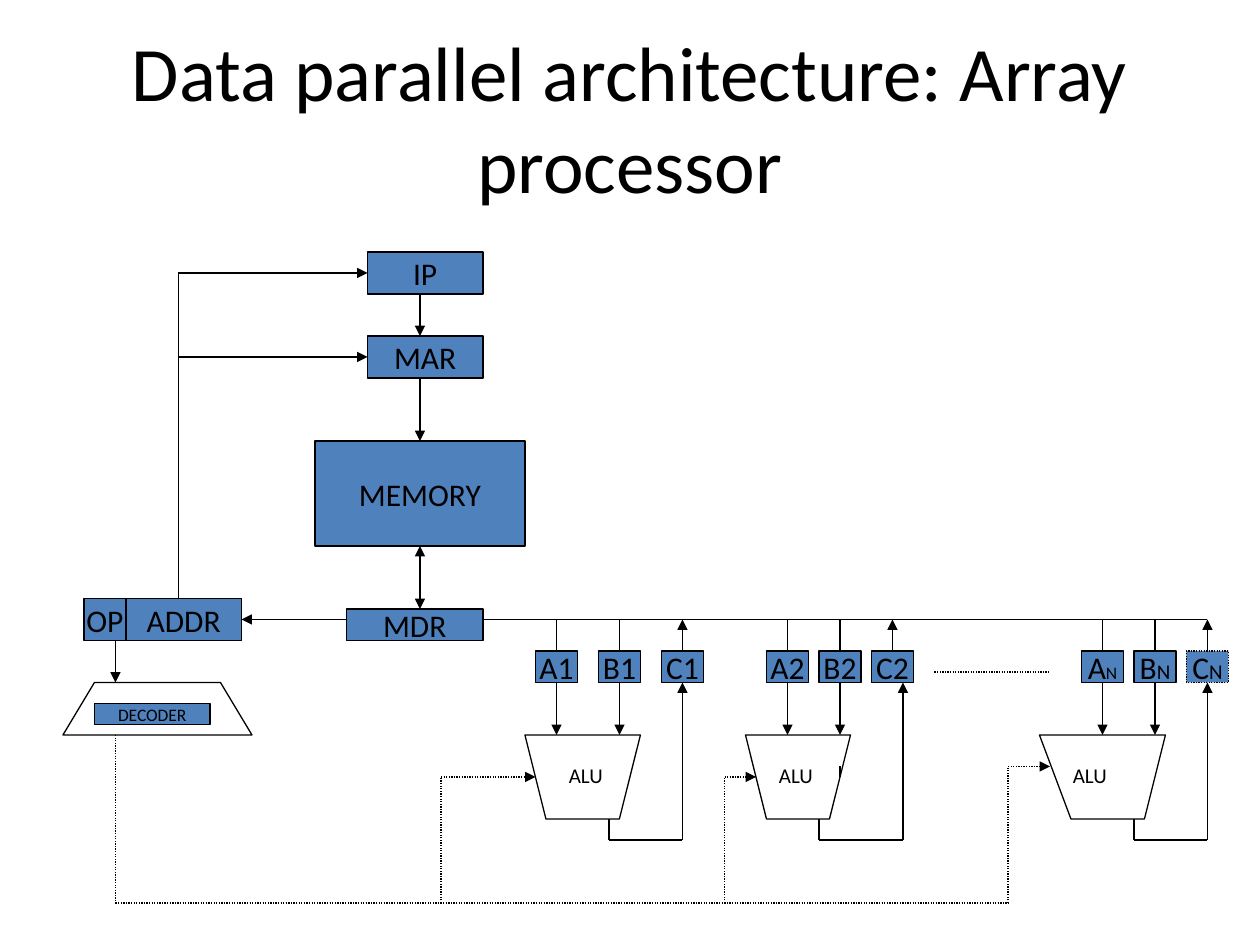
from pptx import Presentation
from pptx.dml.color import RGBColor
from pptx.enum.dml import MSO_LINE
from pptx.enum.shapes import MSO_CONNECTOR, MSO_SHAPE
from pptx.enum.text import MSO_ANCHOR, PP_ALIGN
from pptx.oxml.ns import qn
from pptx.util import Emu, Pt
from lxml.etree import SubElement

PX = 9525  # EMU in one px, 96 px to the inch
COLORS = {"ink": "000000", "block": "4F81BD"}
FONT = "Calibri"


def px(*values):
    return [Emu(v * PX) for v in values]


def rgb(name):
    return RGBColor.from_string(COLORS[name])


def style_line(line, dotted=False):
    line.color.rgb = rgb("ink")
    line.width = Pt(0.75)
    if dotted:
        line.dash_style = MSO_LINE.ROUND_DOT


def style_run(r, size):
    r.font.name, r.font.size = FONT, Pt(size)
    r.font.color.rgb = rgb("ink")


def add_label(slide, x, y, w, h, text, size, align, wrap=False):
    tf = slide.shapes.add_textbox(*px(x, y, w, h)).text_frame
    tf.word_wrap = wrap
    tf.text = text
    p = tf.paragraphs[0]
    p.alignment = align
    style_run(p.runs[0], size)
    return tf


def add_block(slide, x, y, w, h, *parts, dotted=False):
    """Blue rectangle; each part is a (text, size) run."""
    sp = slide.shapes.add_shape(MSO_SHAPE.RECTANGLE, *px(x, y, w, h))
    sp.shadow.inherit = False
    sp.fill.solid()
    sp.fill.fore_color.rgb = rgb("block")
    style_line(sp.line, dotted)
    tf = sp.text_frame
    tf.word_wrap = False
    tf.vertical_anchor = MSO_ANCHOR.MIDDLE
    p = tf.paragraphs[0]
    p.alignment = PP_ALIGN.CENTER
    for text, size in parts:
        r = p.add_run()
        r.text = text
        style_run(r, size)
    return sp


def add_trapezoid(slide, y, h, top, bottom):
    """Unfilled outline; top and bottom are (left, right) pairs."""
    builder = slide.shapes.build_freeform(top[0], y, scale=PX)
    builder.add_line_segments(
        [(top[1], y), (bottom[1], y + h), (bottom[0], y + h)])
    sp = builder.convert_to_shape()
    sp.shadow.inherit = False
    sp.fill.background()
    style_line(sp.line)


def add_path(slide, *points, begin=None, end=None, arrow=True, both=False,
             dotted=False):
    """Straight connectors through points; begin and end are (shape, side)."""
    last = len(points) - 2
    for i, (a, b) in enumerate(zip(points, points[1:])):
        c = slide.shapes.add_connector(MSO_CONNECTOR.STRAIGHT, *px(*a, *b))
        style_line(c.line, dotted)
        if begin and i == 0:
            c.begin_connect(*begin)
        if end and i == last:
            c.end_connect(*end)
        ln = c.line._get_or_add_ln()
        if both:
            SubElement(ln, qn("a:headEnd"), type="triangle")
        if arrow and i == last:
            SubElement(ln, qn("a:tailEnd"), type="triangle")
        SubElement(c._element.spPr, qn("a:effectLst"))


def draw_fetch(slide, x, y):
    """Instruction pointer, memory and instruction register."""
    ip = add_block(slide, x + 216, y, 88, 32, ("IP", 18))
    mar = add_block(slide, x + 216, y + 64, 88, 32, ("MAR", 18))
    memory = add_block(slide, x + 176, y + 144, 160, 80, ("MEMORY", 18))
    add_block(slide, x + 200, y + 272, 104, 24, ("MDR", 18))
    addr = add_block(slide, x + 32, y + 264, 88, 32, ("ADDR", 18))
    add_block(slide, x, y + 264, 32, 32, ("OP", 18))

    # Memory column
    mid = x + 256
    add_path(slide, (mid, y + 32), (mid, y + 64))
    add_path(slide, (mid, y + 96), (mid, y + 144), end=(memory, 0))
    add_path(slide, (mid, y + 224), (mid, y + 272), begin=(memory, 2),
             both=True)

    # Address feedback and operation code
    add_path(slide, (x + 200, y + 280), (x + 120, y + 280), end=(addr, 3))
    add_path(slide, (x + 72, y + 264), (x + 72, y + 16), (x + 216, y + 16),
             end=(ip, 1))
    add_path(slide, (x + 72, y + 80), (x + 216, y + 80), end=(mar, 1))
    add_path(slide, (x + 24, y + 296), (x + 24, y + 328))


def draw_decoder(slide, x, y):
    add_trapezoid(slide, y, 40, (x + 24, x + 120), (x, x + 144))
    add_block(slide, x + 24, y + 16, 88, 16, ("DECODER", 10))


def draw_lane(slide, x, y, names, registers, top, bottom, label, out, back):
    """One processing element below the bus at y; offsets start at the ALU."""
    for name, dx in zip(names, registers):
        letter, mid = name[0][0][0], x + dx + 16
        sp = add_block(slide, x + dx, y + 24, 32, 24, *name,
                       dotted=name[0][0] == "C")
        if letter == "C":
            add_path(slide, (mid, y + 24), (mid, y), begin=(sp, 0))
            joined = (sp, 2) if x + back == mid else None
            add_path(slide, (x + out, y + 152), (x + out, y + 168),
                     (x + back, y + 168), (x + back, y + 48), end=joined)
        else:
            add_path(slide, (mid, y), (mid, y + 24), end=(sp, 0), arrow=False)
            add_path(slide, (mid, y + 48), (mid, y + 88), begin=(sp, 2))
    add_trapezoid(slide, y + 88, 64, (x, x + top),
                  (x + bottom[0], x + bottom[1]))
    add_label(slide, x + label, y + 104, 50, 29, "ALU", 12, PP_ALIGN.LEFT)


def draw_control(slide, x, y, drop, taps):
    """Dotted control line from the decoder to each (tap, ALU, height)."""
    base = y + drop
    add_path(slide, (x, y), (x, base), (x + taps[-1][0], base),
             arrow=False, dotted=True)
    for dx, target, dy in taps:
        add_path(slide, (x + dx, base), (x + dx, y + dy),
                 (x + target, y + dy), dotted=True)


def main():
    prs = Presentation()
    prs.slide_width, prs.slide_height = px(960, 720)
    slide = prs.slides.add_slide(prs.slide_layouts[6])

    # Title
    tf = add_label(slide, 48, 29, 864, 120,
                   "Data parallel architecture: Array processor", 44,
                   PP_ALIGN.CENTER, wrap=True)
    tf.vertical_anchor = MSO_ANCHOR.MIDDLE

    draw_fetch(slide, 64, 192)
    draw_decoder(slide, 48, 520)

    # Data bus and processing elements
    bus = 472
    add_path(slide, (368, bus), (920, bus), arrow=False)
    first, second = ([[(c + n, 18)] for c in "ABC"] for n in "12")
    nth = [[(c, 18), ("N", size)] for c, size in zip("ABC", (10, 12, 12))]
    draw_lane(slide, 400, bus, first, (8, 56, 104), 88, (16, 72), 24, 64, 120)
    draw_lane(slide, 568, bus, second, (16, 56, 96), 80, (16, 64), 16, 56, 120)
    draw_lane(slide, 792, bus, nth, (32, 72, 112), 96, (24, 80), 16, 72, 128)
    add_path(slide, (712, 512), (800, 512), arrow=False, dotted=True)
    add_path(slide, (640, 584), (640, 592), arrow=False)

    draw_control(slide, 88, 560, 128,
                 [(248, 320, 32), (464, 488, 32), (680, 712, 24)])
    prs.save("out.pptx")


if __name__ == "__main__":
    main()
